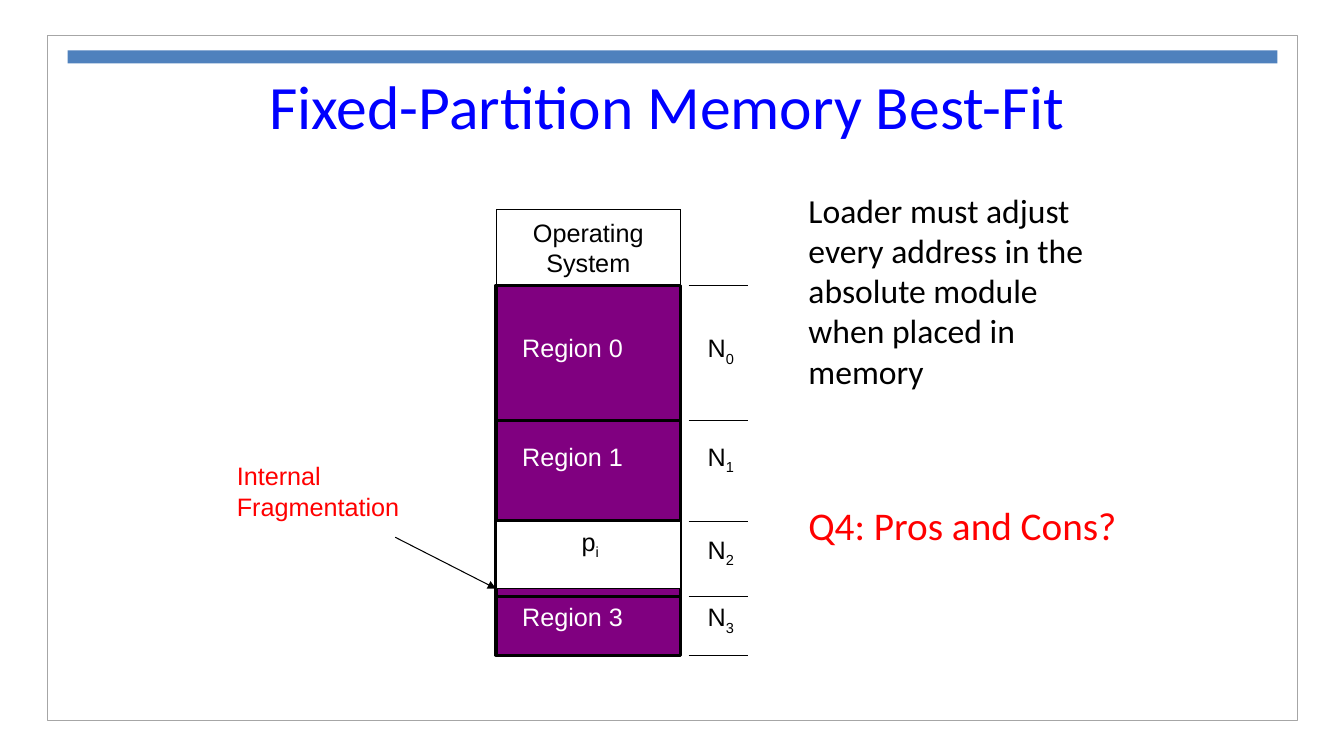
from lxml import etree
from pptx import Presentation
from pptx.dml.color import RGBColor
from pptx.enum.shapes import MSO_CONNECTOR, MSO_SHAPE
from pptx.enum.text import MSO_ANCHOR, MSO_AUTO_SIZE, PP_ALIGN
from pptx.oxml.ns import qn
from pptx.util import Inches, Pt

STRAIGHT = MSO_CONNECTOR.STRAIGHT
RECTANGLE = MSO_SHAPE.RECTANGLE
MIDDLE = MSO_ANCHOR.MIDDLE
TOP = MSO_ANCHOR.TOP
CENTER = PP_ALIGN.CENTER
LEFT = PP_ALIGN.LEFT
FIT_SHAPE = MSO_AUTO_SIZE.SHAPE_TO_FIT_TEXT
TITLE_ONLY = 5

COLORS = {
    "black": "000000",
    "white": "FFFFFF",
    "purple": "800080",
    "red": "FF0000",
    "title": "0000FF",
    "frame": "A6A6A6",
    "bar": "4F81BD",
}
LABEL = {"name": "Arial", "size": Pt(18)}
NOTE = {"name": "Calibri", "size": Pt(24)}
QUESTION = {"name": "Calibri", "size": Pt(28)}
TITLE = {"name": "Calibri", "size": Pt(44), "bold": False}

MEMORY_LEFT, MEMORY_WIDTH = 4.92, 1.83
MEMORY_TOP, MEMORY_BOTTOM = 2.08, 6.5
REGION_EDGES = [2.83, 4.17, 5.17, 5.92, MEMORY_BOTTOM]
LABEL_TOPS = [3.25, 4.33, 5.25, 5.92]
PROCESS_HEIGHT = 0.67


def color(name):
    """Return the named colour."""
    return RGBColor.from_string(COLORS[name])


def add_box(slide, left, top, width, height, fill=None, line=None, weight=0.75):
    """Add a rectangle with an optional fill and outline."""
    shape = slide.shapes.add_shape(
        RECTANGLE, Inches(left), Inches(top), Inches(width), Inches(height))
    shape.shadow.inherit = False
    if fill:
        shape.fill.solid()
        shape.fill.fore_color.rgb = color(fill)
    else:
        shape.fill.background()
    if line:
        shape.line.color.rgb = color(line)
        shape.line.width = Pt(weight)
    else:
        shape.line.fill.background()
    return shape


def write(shape, lines, font, tint, align=LEFT, anchor=TOP, wrap=True, subscript=""):
    """Write lines of text, with an optional subscript after the last one."""
    frame = shape.text_frame
    frame.word_wrap = wrap
    frame.vertical_anchor = anchor
    frame.text = "\n".join(lines)
    if subscript:
        run = frame.paragraphs[-1].add_run()
        run.text = subscript
        run.font._element.set("baseline", "-25000")
    for paragraph in frame.paragraphs:
        paragraph.alignment = align
        for run in paragraph.runs:
            for key, value in font.items():
                setattr(run.font, key, value)
            run.font.color.rgb = color(tint)


def add_text(slide, left, top, width, height, lines, font, tint, **options):
    """Add a text box that fits its text."""
    box = slide.shapes.add_textbox(
        Inches(left), Inches(top), Inches(width), Inches(height))
    write(box, lines, font, tint, **options)
    box.text_frame.auto_size = FIT_SHAPE


def add_line(slide, x1, y1, x2, y2, arrow=False):
    """Add a thin black line, with an arrowhead at its end if asked."""
    connector = slide.shapes.add_connector(
        STRAIGHT, Inches(x1), Inches(y1), Inches(x2), Inches(y2))
    connector.line.color.rgb = color("black")
    connector.line.width = Pt(0.75)
    if arrow:
        outline = connector.line._get_or_add_ln()
        etree.SubElement(outline, qn("a:tailEnd"), type="triangle")
    etree.SubElement(connector._element.spPr, qn("a:effectLst"))


def add_title(slide, text):
    """Place and format the title."""
    title = slide.shapes.title
    title.left, title.top = Inches(1.83), Inches(0.42)
    title.width, title.height = Inches(9.58), Inches(1.25)
    write(title, [text], TITLE, "title", align=CENTER, anchor=MIDDLE)


def add_memory(slide):
    """Draw the memory column with its regions and size labels."""
    column = MEMORY_LEFT, MEMORY_WIDTH
    left, width = column
    add_box(slide, left, MEMORY_TOP, width, MEMORY_BOTTOM - MEMORY_TOP,
            "purple", "black")
    system = add_box(slide, left, MEMORY_TOP, width,
                     REGION_EDGES[0] - MEMORY_TOP, "white", "black")
    write(system, ["Operating", "System"], LABEL, "black",
          align=CENTER, anchor=MIDDLE, wrap=False)
    for top, bottom in zip(REGION_EDGES, REGION_EDGES[1:]):
        add_box(slide, left, top, width, bottom - top, line="black", weight=2.25)
    for edge in REGION_EDGES:
        add_line(slide, 6.83, edge, 7.42, edge)
    process_top = REGION_EDGES[2]
    add_box(slide, left, process_top, width, PROCESS_HEIGHT, "white", "black")
    for number, top in enumerate(LABEL_TOPS):
        if number != 2:
            add_text(slide, 5.08, top, 1.21, 0.4, [f"Region {number}"],
                     LABEL, "white", wrap=False)
        add_text(slide, 6.92, top, 0.48, 0.4, ["N"], LABEL, "black",
                 wrap=False, subscript=str(number))
    add_text(slide, 5.67, process_top, 0.38, 0.4, ["p"], LABEL, "black",
             wrap=False, subscript="i")
    add_text(slide, 2.25, 4.52, 2.25, 0.71, ["Internal", "Fragmentation"],
             LABEL, "red")
    add_line(slide, 3.92, 5.33, left, process_top + PROCESS_HEIGHT, arrow=True)


def main():
    """Build and save the slide."""
    presentation = Presentation()
    presentation.slide_width = Inches(13.33)
    presentation.slide_height = Inches(7.5)
    slide = presentation.slides.add_slide(presentation.slide_layouts[TITLE_ONLY])
    add_box(slide, 0.47, 0.35, 12.4, 6.8, line="frame", weight=1)
    add_box(slide, 0.67, 0.5, 12, 0.13, fill="bar")
    add_title(slide, "Fixed-Partition Memory Best-Fit")
    add_memory(slide)
    add_text(slide, 7.92, 1.83, 3.18, 2.12,
             ["Loader must adjust every address in the absolute module "
              "when placed in memory"], NOTE, "black")
    add_text(slide, 7.92, 4.92, 3.33, 0.57, ["Q4: Pros and Cons?"],
             QUESTION, "red")
    presentation.save("out.pptx")


if __name__ == "__main__":
    main()
